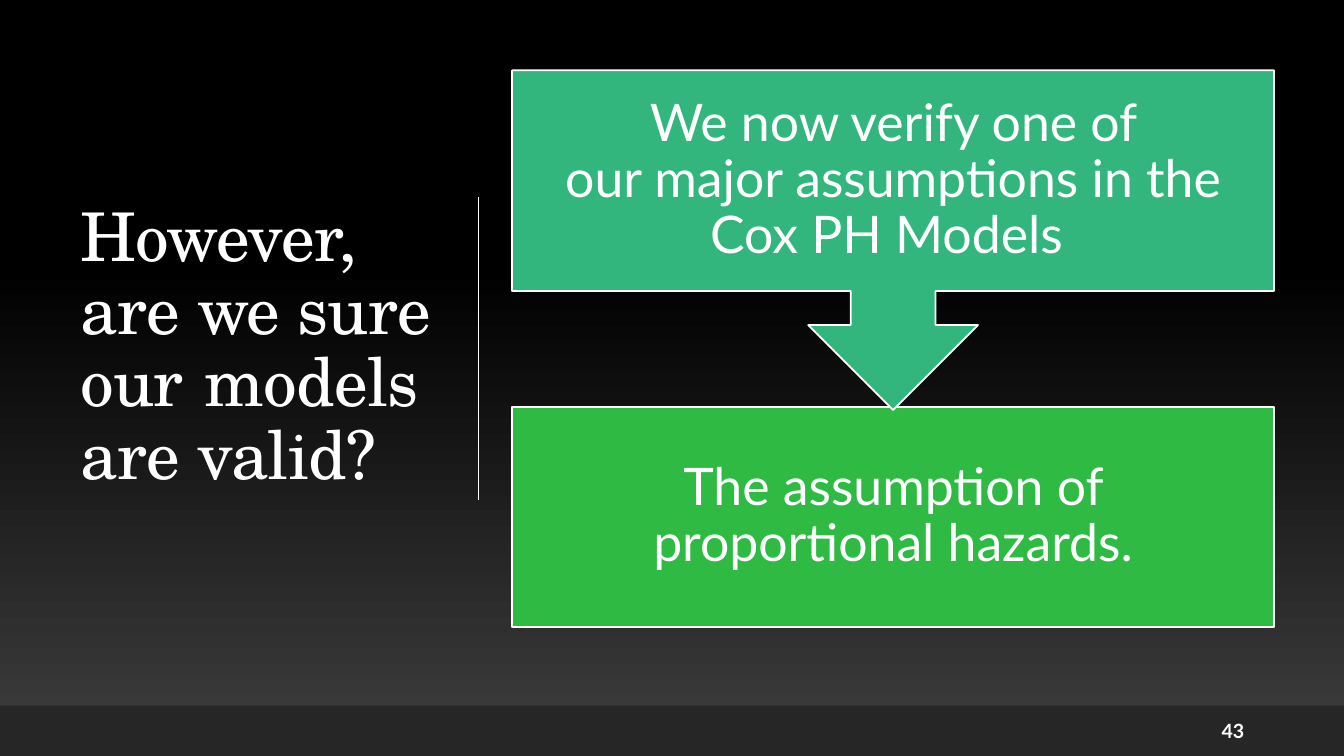
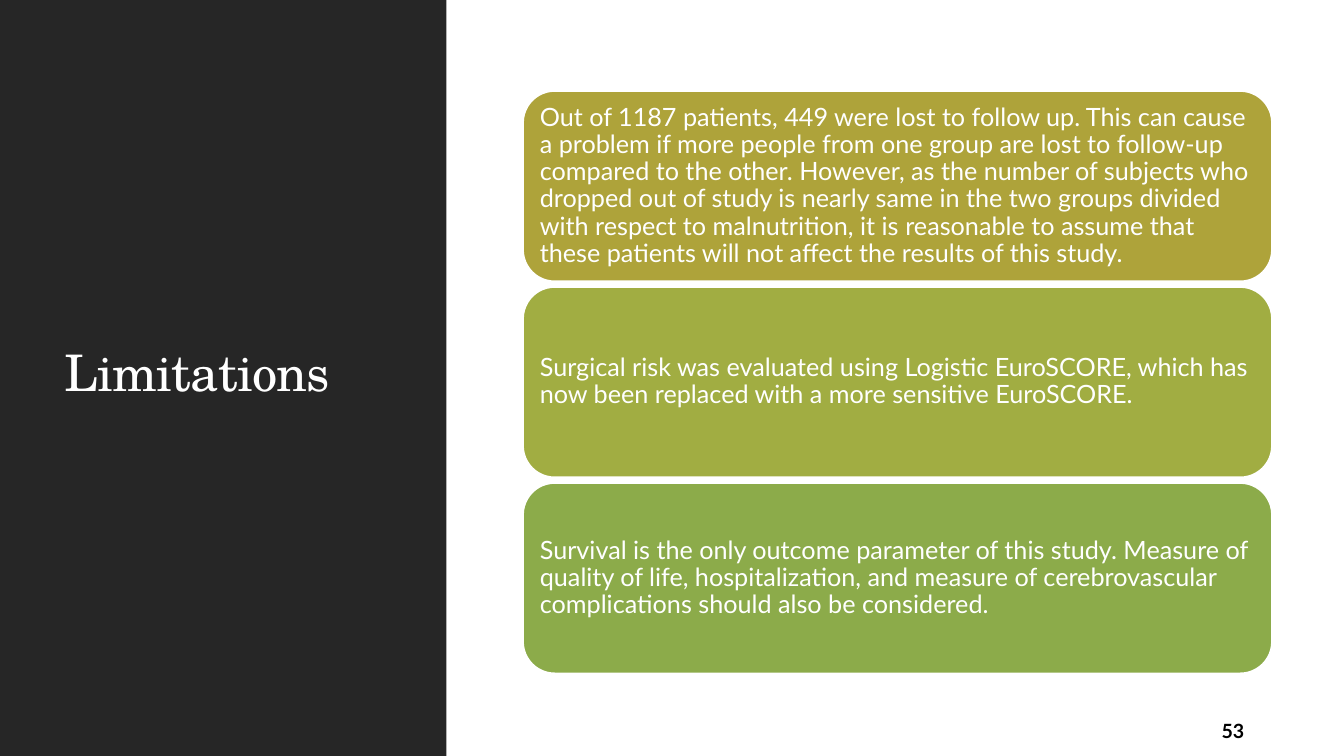
from collections import namedtuple

from lxml.etree import SubElement
from pptx import Presentation
from pptx.dml.color import RGBColor
from pptx.enum.shapes import MSO_CONNECTOR, MSO_SHAPE
from pptx.enum.text import MSO_ANCHOR, PP_ALIGN
from pptx.oxml.ns import qn
from pptx.util import Pt

Box = namedtuple("Box", "left top width height")

WHITE = RGBColor(0xFF, 0xFF, 0xFF)
BLACK = RGBColor(0x00, 0x00, 0x00)
CHARCOAL = RGBColor(0x26, 0x26, 0x26)
GREY = RGBColor(0x3F, 0x3F, 0x3F)
TEAL = RGBColor(0x33, 0xB6, 0x7D)
GREEN = RGBColor(0x2E, 0xBA, 0x43)
MUSTARD = RGBColor(0xAE, 0xA3, 0x3A)
OLIVE = RGBColor(0xA1, 0xAD, 0x42)
SAGE = RGBColor(0x8C, 0xAB, 0x4A)

TITLE_FONT = "TeX Gyre Schola"
BODY_FONT = "Lato"
PAGE = Box(0, 0, 960, 540)
FOOTER = Box(0, 504, 960, 36)
NUMBER = Box(865.5, 507.6, 61.2, 28.8)
HARD_SPACE = chr(160)

LIMITATIONS = [
    (MUSTARD, "Out of 1187 patients, 449 were lost to follow up. This can cause a "
              "problem if more people from one group are lost to follow-up compared "
              "to the other. However, as the number of subjects who dropped out of "
              "study is nearly same in the two groups divided with respect to "
              f"malnutrition, it is{HARD_SPACE}reasonable to assume that these "
              f"patients{HARD_SPACE}will not affect the results of this study."),
    (OLIVE, "Surgical risk was evaluated using Logistic EuroSCORE, which has now been "
            "replaced with a more sensitive EuroSCORE."),
    (SAGE, "Survival is the only outcome parameter of this study. Measure of quality "
           "of life, hospitalization, and measure of cerebrovascular complications "
           "should also be considered."),
]


def points(box):
    return [Pt(length) for length in box]


def write(shape, text, size, font=BODY_FONT, color=WHITE, bold=False,
          align=PP_ALIGN.LEFT, spacing=0.9, inset=None):
    """Fill a shape with one vertically centred paragraph and return its run."""
    frame = shape.text_frame
    frame.word_wrap = True
    frame.vertical_anchor = MSO_ANCHOR.MIDDLE
    if inset is not None:
        frame.margin_left = frame.margin_right = Pt(inset)
        frame.margin_top = frame.margin_bottom = Pt(inset)
    para = frame.paragraphs[0]
    para.alignment = align
    para.line_spacing = spacing
    span = para.add_run()
    span.text = text
    span.font.name = font
    span.font.size = Pt(size)
    span.font.bold = bold
    span.font.color.rgb = color
    return span


def add_panel(page, box, fill, kind=MSO_SHAPE.RECTANGLE, outlined=False):
    panel = page.shapes.add_shape(kind, *points(box))
    panel.shadow.inherit = False
    panel.fill.solid()
    panel.fill.fore_color.rgb = fill
    if outlined:
        panel.line.color.rgb = WHITE
        panel.line.width = Pt(1.25)
    else:
        panel.line.fill.background()
    return panel


def add_title(page, box, text, size):
    span = write(page.shapes.add_textbox(*points(box)), text, size, TITLE_FONT)
    span.font._element.set("spc", "-50")


def add_page_number(page, number, color):
    write(page.shapes.add_textbox(*points(NUMBER)), str(number), 14,
          color=color, bold=True, spacing=1.0)


def add_divider(page, x, top, bottom):
    divider = page.shapes.add_connector(
        MSO_CONNECTOR.STRAIGHT, Pt(x), Pt(top), Pt(x), Pt(bottom))
    divider.line.color.rgb = WHITE
    divider.line.width = Pt(1)
    SubElement(divider._element.spPr, qn("a:effectLst"))


def paint_dark_background(page):
    """Fade from grey at the bottom edge to black at 65 % of the height."""
    fill = page.background.fill
    fill.gradient()
    fill.gradient_angle = 90
    for stop, position, color in zip(fill.gradient_stops, (0, 0.65), (GREY, BLACK)):
        stop.position = position
        stop.color.rgb = color


def add_step_flow(page, box):
    """Place a callout whose arrow leads down to a second panel."""
    panel_height = 157.6
    callout_height = 242.6
    steps = [
        (f"We now verify one of our{HARD_SPACE}major assumptions in the "
         f"Cox PH Models{HARD_SPACE}", TEAL,
         MSO_SHAPE.DOWN_ARROW_CALLOUT, box.top, callout_height),
        ("The assumption of proportional hazards.", GREEN,
         MSO_SHAPE.RECTANGLE, box.top + box.height - panel_height, panel_height),
    ]
    for text, fill, kind, top, height in reversed(steps):
        step_box = Box(box.left, top, box.width, height)
        panel = add_panel(page, step_box, fill, kind, outlined=True)
        write(panel, text, 37, align=PP_ALIGN.CENTER, inset=20.8)


def add_card_stack(page, box, cards, gap=4):
    height = (box.height - gap * (len(cards) - 1)) / len(cards)
    for index, (fill, text) in enumerate(cards):
        card_box = Box(box.left, box.top + index * (height + gap), box.width, height)
        card = add_panel(page, card_box, fill, MSO_SHAPE.ROUNDED_RECTANGLE, outlined=True)
        write(card, text, 18, inset=5.4)


def build_validity_page(page):
    paint_dark_background(page)
    add_title(page, Box(50.4, 49.9, 265.7, 398.2),
              f"However, are we sure our{HARD_SPACE}models are valid?", 48)
    add_divider(page, 341.6, 141, 357)
    add_panel(page, FOOTER, CHARCOAL)
    add_step_flow(page, Box(365.8, 50.3, 544.3, 397.8))
    add_page_number(page, 43, WHITE)


def build_limitations_page(page):
    add_panel(page, Box(0, 0, 318.8, PAGE.height), CHARCOAL)
    add_title(page, Box(38.9, 41, 242.6, 454.3), "Limitations", 36)
    add_card_stack(page, Box(373.6, 65, 535, 416), LIMITATIONS)
    add_page_number(page, 53, BLACK)


def main():
    deck = Presentation()
    deck.slide_width, deck.slide_height = Pt(PAGE.width), Pt(PAGE.height)
    blank = deck.slide_layouts[6]
    for build in (build_validity_page, build_limitations_page):
        build(deck.slides.add_slide(blank))
    deck.save("out.pptx")


if __name__ == "__main__":
    main()
